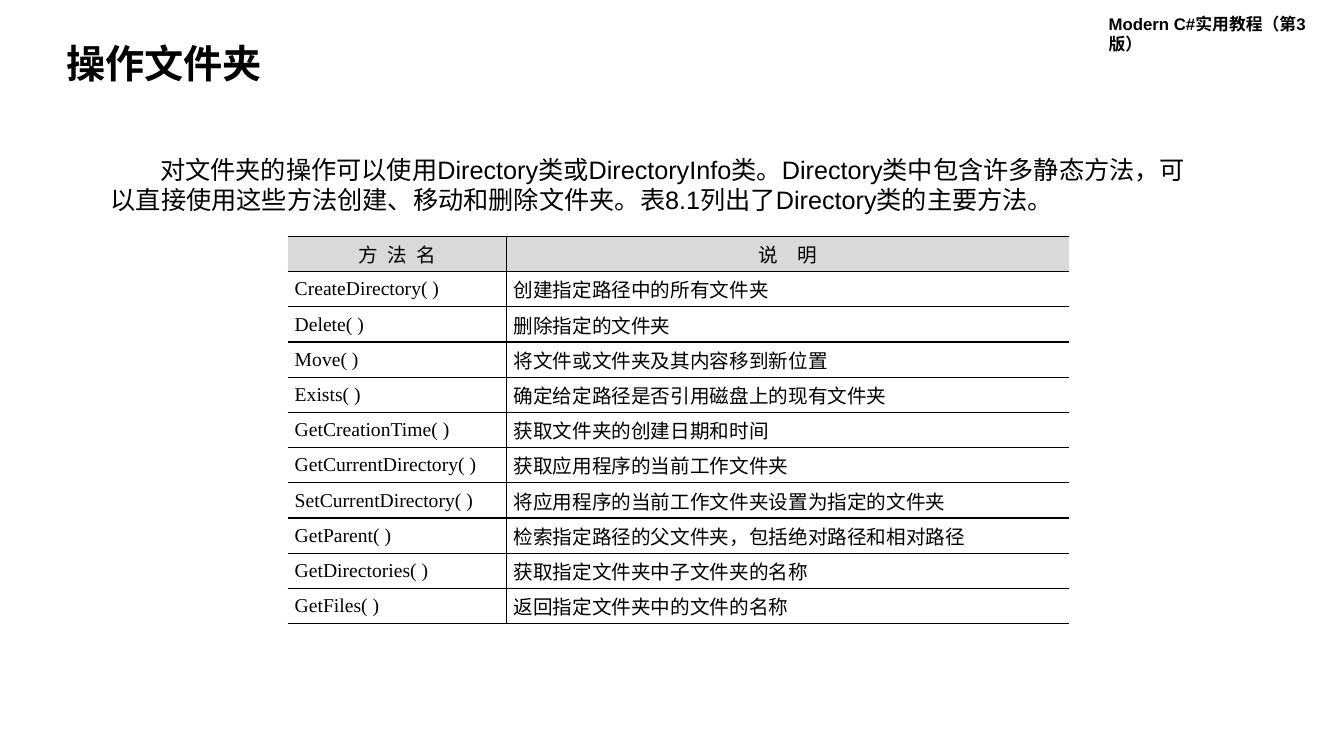
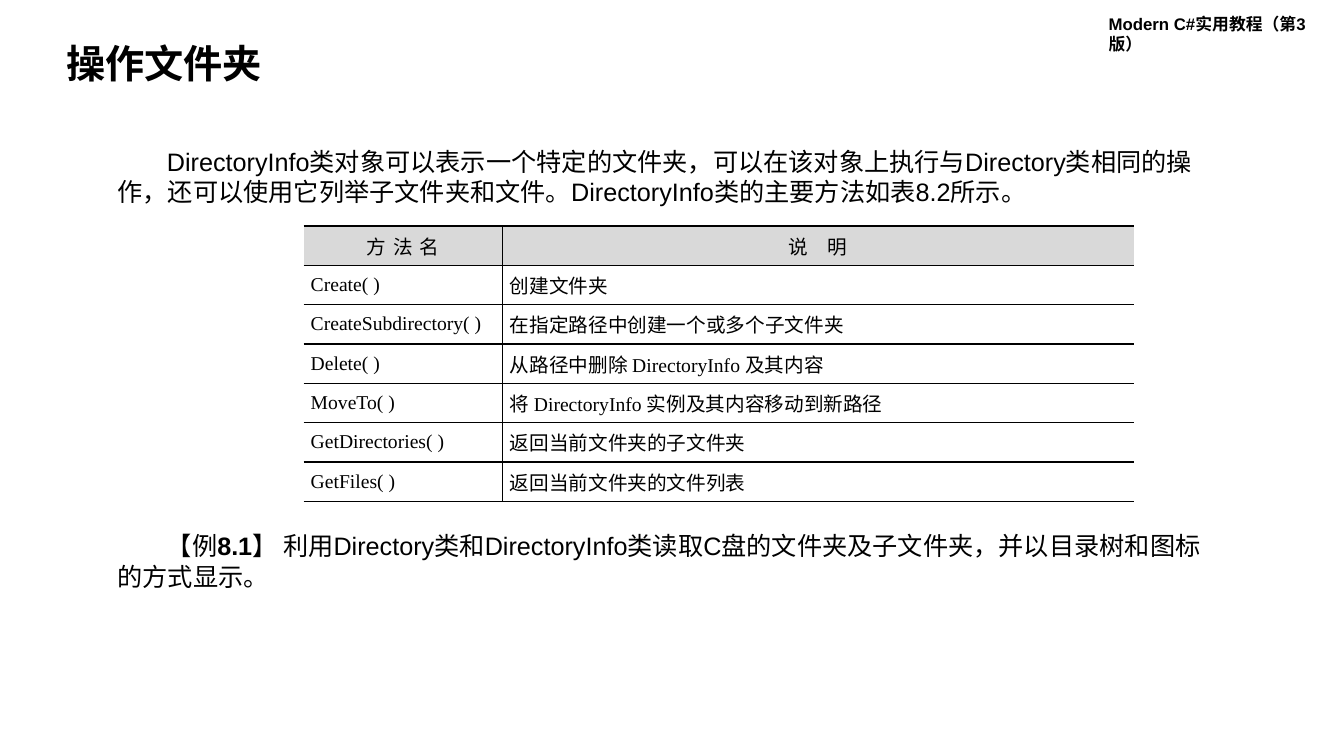
from lxml import etree
from pptx import Presentation
from pptx import util as u
from pptx.dml.color import RGBColor
from pptx.enum import text
from pptx.oxml.ns import qn

INK, HEADING_FILL = "000000", "D9D9D9"
SANS, SERIF = "Arial", "Times New Roman"
WIDTH, HEIGHT = u.Inches(13.33), u.Inches(7.5)
COLUMNS, ROWS = 160, 90

DIRECTORY_METHODS = [
    ("CreateDirectory( )", "创建指定路径中的所有文件夹"),
    ("Delete( )", "删除指定的文件夹"),
    ("Move( )", "将文件或文件夹及其内容移到新位置"),
    ("Exists( )", "确定给定路径是否引用磁盘上的现有文件夹"),
    ("GetCreationTime( )", "获取文件夹的创建日期和时间"),
    ("GetCurrentDirectory( )", "获取应用程序的当前工作文件夹"),
    ("SetCurrentDirectory( )", "将应用程序的当前工作文件夹设置为指定的文件夹"),
    ("GetParent( )", "检索指定路径的父文件夹，包括绝对路径和相对路径"),
    ("GetDirectories( )", "获取指定文件夹中子文件夹的名称"),
    ("GetFiles( )", "返回指定文件夹中的文件的名称"),
]
INFO_METHODS = [
    ("Create( )", "创建文件夹"),
    ("CreateSubdirectory( )", "在指定路径中创建一个或多个子文件夹"),
    ("Delete( )", "从路径中删除 DirectoryInfo 及其内容"),
    ("MoveTo( )", "将 DirectoryInfo 实例及其内容移动到新路径"),
    ("GetDirectories( )", "返回当前文件夹的子文件夹"),
    ("GetFiles( )", "返回当前文件夹的文件列表"),
]


def color(value):
    """Turn a hex string into a colour."""
    return RGBColor.from_string(value)


def grid(left, top, width, height):
    """Turn grid columns and rows into slide lengths."""
    across, down = WIDTH / COLUMNS, HEIGHT / ROWS
    return [u.Emu(round(n)) for n in
            (left * across, top * down, width * across, height * down)]


def style(paragraph, size, name=SANS, bold=False):
    """Set the font shared by all runs of a paragraph."""
    font = paragraph.font
    font.name, font.size, font.bold = name, u.Pt(size), bold
    font.color.rgb = color(INK)
    return font


def add_text(slide, box, words, size, bold=False):
    """Add a wrapped text box whose words are (text, bold) runs or one string."""
    frame = slide.shapes.add_textbox(*grid(*box)).text_frame
    frame.word_wrap = True
    paragraph = frame.paragraphs[0]
    runs = [(words, bold)] if isinstance(words, str) else words
    for words_part, heavy in runs:
        run = paragraph.add_run()
        run.text = words_part
        if heavy != bold:
            run.font.bold = heavy
    style(paragraph, size, bold=bold)
    return frame


def add_body(slide, box, words):
    """Add a body paragraph with an indented first line."""
    paragraph = add_text(slide, box, words, 18).paragraphs[0]
    paragraph._p.get_or_add_pPr().set("indent", str(u.Inches(0.49)))


def add_borders(cell, visible):
    """Rule the named sides of a cell and clear the others."""
    properties = cell._tc.get_or_add_tcPr()
    for side in "LRTB":
        line = etree.SubElement(properties, qn(f"a:ln{side}"), w=str(u.Pt(1)))
        if side in visible:
            fill = etree.SubElement(line, qn("a:solidFill"))
            etree.SubElement(fill, qn("a:srgbClr"), val=INK)
        else:
            etree.SubElement(line, qn("a:noFill"))


def add_methods(slide, box, name_share, headings, methods):
    """Add a method table; each heading is its text and letter spacing in points."""
    left, top, width, height = grid(*box)
    entries = [[words for words, _ in headings], *methods]
    table = slide.shapes.add_table(len(entries), 2, left, top, width, height).table
    table.first_row = table.horz_banding = False
    name_width = round(width * name_share)
    table.columns[0].width, table.columns[1].width = name_width, width - name_width
    for r, entry in enumerate(entries):
        table.rows[r].height = height // len(entries)
        for c, words in enumerate(entry):
            cell = table.cell(r, c)
            add_borders(cell, "TBL" if c else "TBR")
            cell.margin_left = cell.margin_right = u.Inches(0.07)
            cell.margin_top = cell.margin_bottom = 0
            cell.vertical_anchor = text.MSO_ANCHOR.MIDDLE
            cell.text = words
            paragraph = cell.text_frame.paragraphs[0]
            font = style(paragraph, 14, SERIF)
            if r:
                cell.fill.background()
                paragraph.alignment = text.PP_ALIGN.JUSTIFY
            else:
                cell.fill.solid()
                cell.fill.fore_color.rgb = color(HEADING_FILL)
                paragraph.alignment = text.PP_ALIGN.CENTER
                font._rPr.set("spc", str(round(headings[c][1] * 100)))


def add_slide(deck, title):
    """Add a blank slide with the book label and a title."""
    slide = deck.slides.add_slide(deck.slide_layouts[6])
    add_text(slide, (130.8, 1, 29.2, 3.6), "Modern C#实用教程（第3版）", 12, True)
    frame = add_text(slide, (6.7, 4.7, 72.5, 6.2), title, 28, True)
    frame.vertical_anchor = text.MSO_ANCHOR.MIDDLE
    frame.paragraphs[0].line_spacing = 0.9
    return slide


def directory_slide(deck):
    """Build the slide on the Directory class."""
    slide = add_slide(deck, "操作文件夹")
    add_body(slide, (12, 17.8, 132.4, 8.5),
             "对文件夹的操作可以使用Directory类或DirectoryInfo类。Directory类中包含许多静态方法，"
             "可以直接使用这些方法创建、移动和删除文件夹。表8.1列出了Directory类的主要方法。")
    add_methods(slide, (34.25, 28.15, 93, 46.1), 0.28,
                [("方 法 名", 1.75), ("说 明", 5.25)], DIRECTORY_METHODS)


def info_slide(deck):
    """Build the slide on the DirectoryInfo class."""
    slide = add_slide(deck, "操作文件夹")
    add_body(slide, (12.8, 16.8, 130.6, 8.5),
             "DirectoryInfo类对象可以表示一个特定的文件夹，可以在该对象上执行与Directory类相同的操作，"
             "还可以使用它列举子文件夹和文件。DirectoryInfo类的主要方法如表8.2所示。")
    add_methods(slide, (36.15, 26.9, 98.8, 32.8), 0.24,
                [("方 法 名", 0.9), ("说 明", 5.25)], INFO_METHODS)
    add_body(slide, (12.8, 62.6, 131.9, 8.5),
             [("【例", False), ("8.1", True),
              ("】 利用Directory类和DirectoryInfo类读取C盘的文件夹及子文件夹，"
               "并以目录树和图标的方式显示。", False)])


def main():
    """Build and save the deck."""
    deck = Presentation()
    deck.slide_width, deck.slide_height = WIDTH, HEIGHT
    directory_slide(deck)
    info_slide(deck)
    deck.save("out.pptx")


if __name__ == "__main__":
    main()
